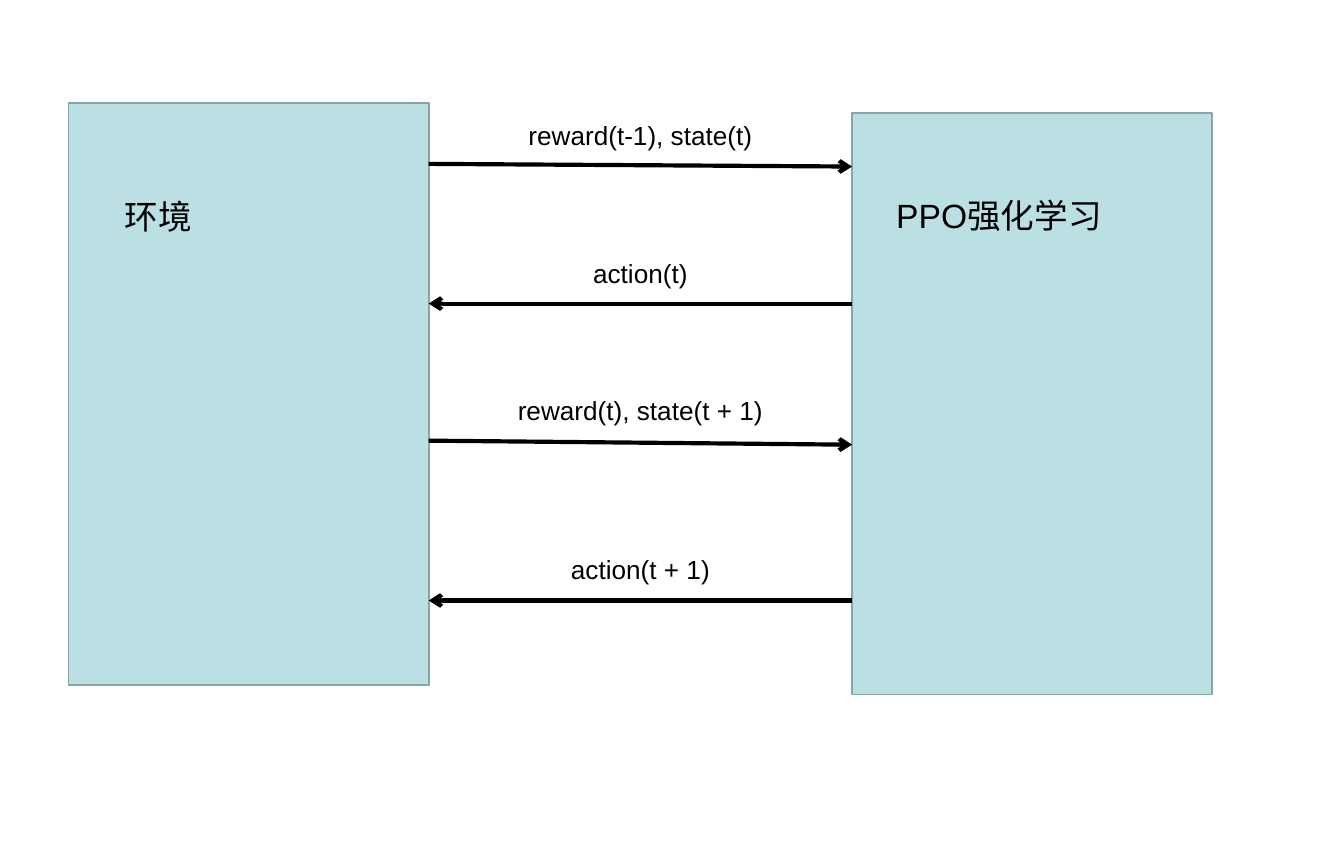
from lxml.etree import SubElement
from pptx import Presentation
from pptx.dml.color import RGBColor
from pptx.enum.shapes import MSO_CONNECTOR, MSO_SHAPE
from pptx.enum.text import PP_ALIGN
from pptx.oxml.ns import qn
from pptx.util import Pt

EMU_PER_PX = 9144  # 100 px to the inch
BLANK_LAYOUT = 6
PANEL_WIDTH, PANEL_HEIGHT = 268, 433
LABEL_MARGIN, LABEL_HEIGHT = 8, 34


def px(length):
    return length * EMU_PER_PX


def color(hex_string):
    return RGBColor.from_string(hex_string)


def add_text(slide, text, left, top, width, height, size, alignment):
    text_box = slide.shapes.add_textbox(px(left), px(top), px(width), px(height))
    text_box.text_frame.word_wrap = True
    paragraph = text_box.text_frame.paragraphs[0]
    paragraph.alignment = alignment
    run = paragraph.add_run()
    run.text = text
    run.font.name = "Arial"
    run.font.size = Pt(size)
    run.font.color.rgb = color("000000")


def add_panel(slide, left, top, name, name_left, name_top, name_width):
    """Draw one participant; its name is placed relative to the panel."""
    panel = slide.shapes.add_shape(
        MSO_SHAPE.RECTANGLE, px(left), px(top), px(PANEL_WIDTH), px(PANEL_HEIGHT))
    panel.shadow.inherit = False
    panel.fill.solid()
    panel.fill.fore_color.rgb = color("BBE0E3")
    panel.line.color.rgb = color("89A4A7")
    panel.line.width = Pt(1)
    add_text(slide, name, left + name_left, top + name_top, name_width, 40, 18, PP_ALIGN.LEFT)


def add_arrow(slide, start_x, start_y, end_x, end_y):
    arrow = slide.shapes.add_connector(
        MSO_CONNECTOR.STRAIGHT, px(start_x), px(start_y), px(end_x), px(end_y))
    arrow.line.color.rgb = color("000000")
    arrow.line.width = Pt(2.25)
    SubElement(arrow.line._get_or_add_ln(), qn("a:tailEnd"), type="arrow")
    SubElement(arrow._element.spPr, qn("a:effectLst"))


def add_message(slide, left, top, width, text, to_agent, start_drop, end_drop):
    """Draw a label with its arrow; drops are arrow heights below the label top."""
    start_x, end_x = (left, left + width) if to_agent else (left + width, left)
    add_arrow(slide, start_x, top + start_drop, end_x, top + end_drop)
    add_text(slide, text, left + LABEL_MARGIN, top, width - 2 * LABEL_MARGIN,
             LABEL_HEIGHT, 14, PP_ALIGN.CENTER)


def main():
    presentation = Presentation()
    presentation.slide_width, presentation.slide_height = px(1000), px(626)
    slide = presentation.slides.add_slide(presentation.slide_layouts[BLANK_LAYOUT])

    environment_left, agent_left = 51, 634
    add_panel(slide, environment_left, 77, "环境", 32, 64, 103)
    add_panel(slide, agent_left, 84, "PPO强化学习", 23, 56, 199)

    gap_left = environment_left + PANEL_WIDTH
    messages = [
        (84, "reward(t-1), state(t)", True, 38, 40),
        (187, "action(t)", False, 39, 39),
        (289, "reward(t), state(t + 1)", True, 39, 42),
        (407, "action(t + 1)", False, 40, 40),
    ]
    for top, text, to_agent, start_drop, end_drop in messages:
        add_message(slide, gap_left, top, agent_left - gap_left,
                    text, to_agent, start_drop, end_drop)

    presentation.save("out.pptx")


if __name__ == "__main__":
    main()
